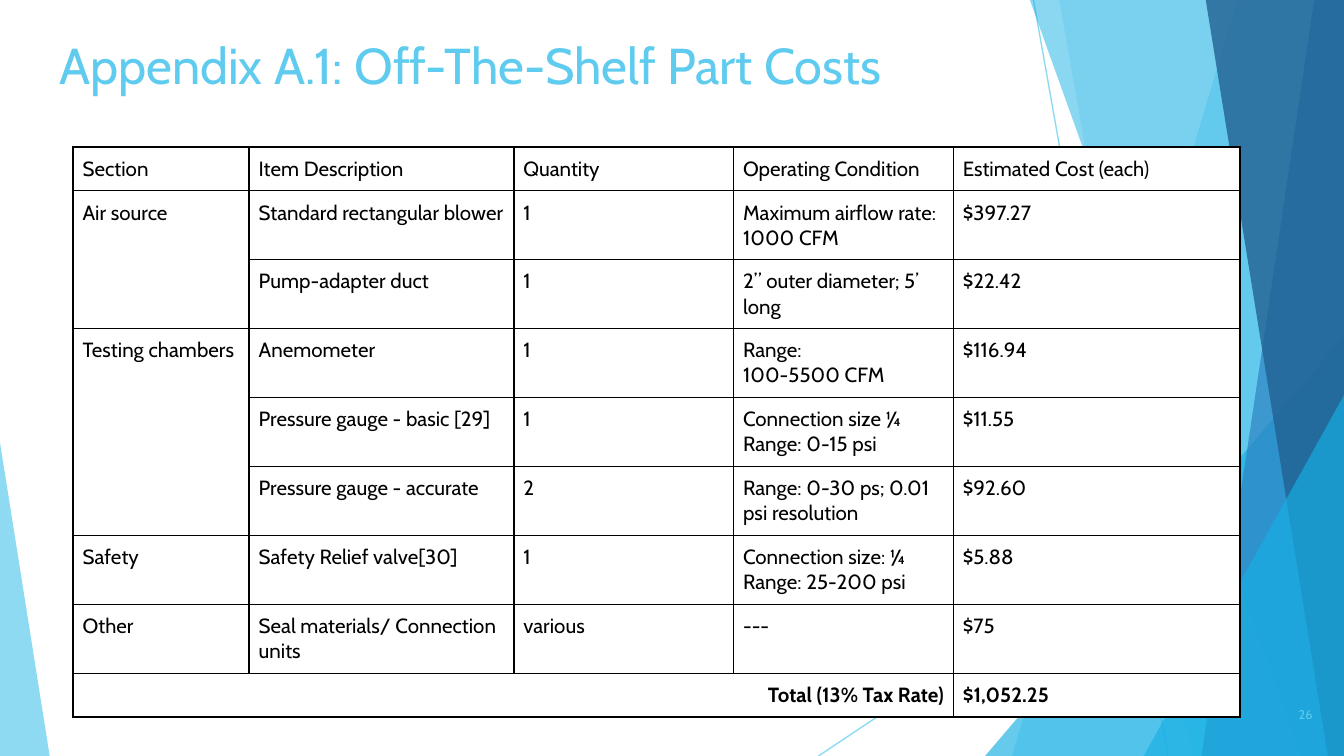
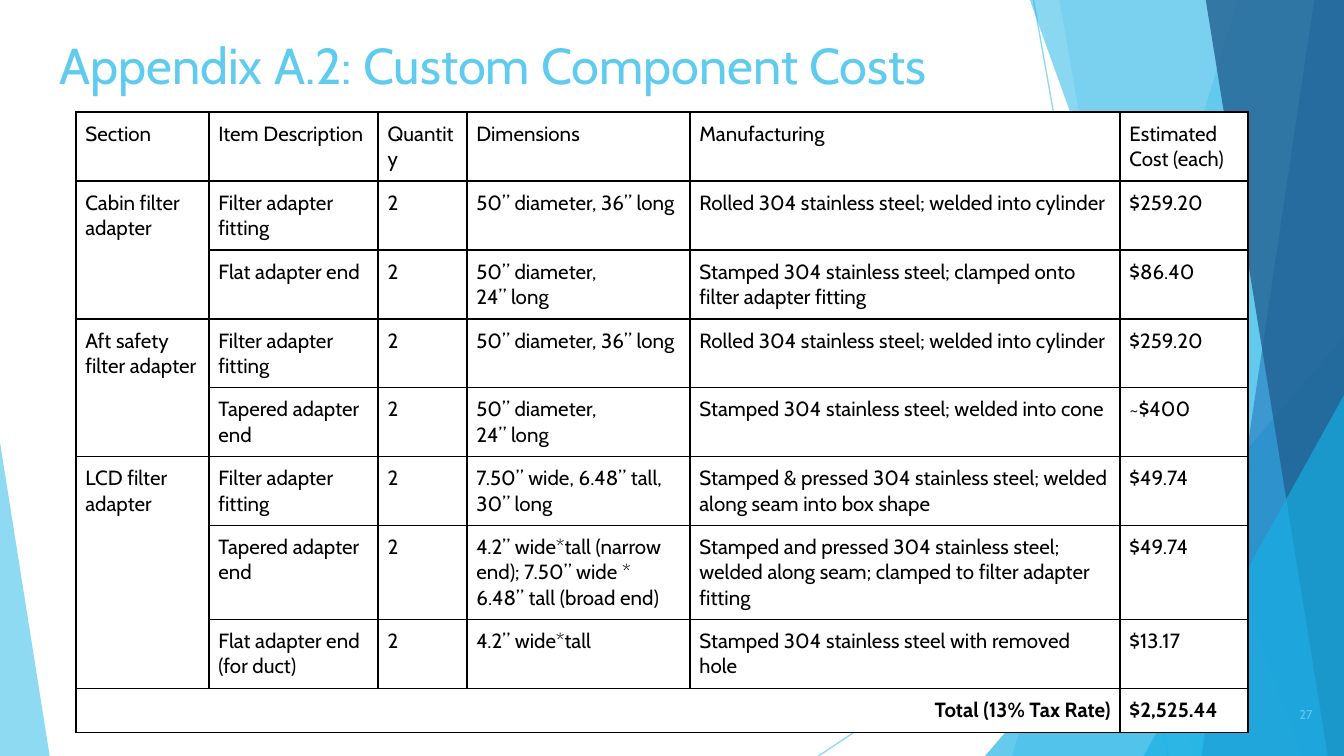
from dataclasses import dataclass
from itertools import product

from lxml.etree import SubElement
from pptx import Presentation
from pptx.dml.color import RGBColor
from pptx.enum.shapes import MSO_CONNECTOR, MSO_SHAPE
from pptx.enum.text import MSO_ANCHOR, MSO_AUTO_SIZE, PP_ALIGN
from pptx.oxml.ns import qn
from pptx.util import Inches, Pt


@dataclass(frozen=True)
class Theme:
    """Colours and type sizes of the deck."""
    font: str = "Cabin"
    sky: str = "5FCBEF"
    cyan: str = "17B0E4"
    blue: str = "2E83C3"
    navy: str = "226292"
    ink: str = "000000"
    paper: str = "FFFFFF"
    title_size: float = 27
    body_size: float = 11
    number_size: float = 6.8
    rule_width: float = 1
    hairline_width: float = 0.75


@dataclass(frozen=True)
class Hairline:
    """A thin line between two grid points."""
    start: tuple[float, float]
    end: tuple[float, float]


@dataclass(frozen=True)
class Band:
    """A full-height band from a slanted left edge to the right page edge."""
    top: float
    bottom: float
    color: str
    opacity: int


@dataclass(frozen=True)
class Wedge:
    """A right triangle standing on the page's bottom edge."""
    left: float
    top: float
    width: float
    apex: int
    color: str
    opacity: int


@dataclass(frozen=True)
class CostPage:
    """A numbered slide with one cost table; an empty section continues the one above."""
    title: str
    number: int
    left: float
    top: float
    columns: tuple[float, ...]
    line_counts: tuple[int, ...]
    header: tuple[str, ...]
    items: tuple[tuple[str, ...], ...]
    total: str


THEME = Theme()
COLUMNS = 1000
ROWS = COLUMNS * 9 / 16
CELL = Inches(0.01)
BOX_INSET, CELL_INSET, TEXT_LINE = 10, 7, 18.5
TOTAL_LABEL = "Total (13% Tax Rate)"

BACKDROP = (
    Hairline((769, 0), (869, ROWS)),
    Hairline((COLUMNS, 302), (609, ROWS)),
    Band(921, 753, THEME.sky, 36),
    Band(788, 887, THEME.sky, 20),
    Wedge(733, 250, 267, 1, THEME.cyan, 66),
    Band(766, 968, THEME.cyan, 50),
    Band(978, 894, THEME.blue, 70),
    Band(897, 988, THEME.navy, 80),
    Wedge(851, 294, 149, 1, THEME.cyan, 66),
    Wedge(0, 329, 37, 0, THEME.sky, 70),
)

ROLLED = "Rolled 304 stainless steel; welded into cylinder"
FITTING = "Filter adapter fitting"
TAPERED = "Tapered adapter end"
LONG_SIZE = "50” diameter, 36” long"
SHORT_SIZE = "50” diameter,\n24” long"

PAGES = (
    CostPage(
        "Appendix A.1: Off-The-Shelf Part Costs", 26, 54.5, 109.25,
        (131, 197, 163.5, 163.5, 213.5),
        (1, 2, 2, 2, 2, 2, 2, 2, 1),
        ("Section", "Item Description", "Quantity", "Operating Condition", "Estimated Cost (each)"),
        (
            ("Air source", "Standard rectangular blower", "1", "Maximum airflow rate:\n1000 CFM", "$397.27"),
            ("", "Pump-adapter duct", "1", "2” outer diameter; 5’ long", "$22.42"),
            ("Testing chambers", "Anemometer", "1", "Range:\n100-5500 CFM", "$116.94"),
            ("", "Pressure gauge - basic [29]", "1", "Connection size ¼\nRange: 0-15 psi", "$11.55"),
            ("", "Pressure gauge - accurate", "2", "Range: 0-30 ps; 0.01 psi resolution", "$92.60"),
            ("Safety", "Safety Relief valve[30]", "1", "Connection size: ¼\nRange: 25-200 psi", "$5.88"),
            ("Other", "Seal materials/ Connection units", "various", "---", "$75"),
        ),
        "$1,052.25",
    ),
    CostPage(
        "Appendix A.2: Custom Component Costs", 27, 56.5, 83.25,
        (99, 126, 66, 166, 320, 95),
        (2, 2, 2, 2, 2, 2, 3, 2, 1),
        ("Section", "Item Description", "Quantity", "Dimensions", "Manufacturing", "Estimated Cost (each)"),
        (
            ("Cabin filter adapter", FITTING, "2", LONG_SIZE, ROLLED, "$259.20"),
            ("", "Flat adapter end", "2", SHORT_SIZE,
             "Stamped 304 stainless steel; clamped onto filter adapter fitting", "$86.40"),
            ("Aft safety filter adapter", FITTING, "2", LONG_SIZE, ROLLED, "$259.20"),
            ("", TAPERED, "2", SHORT_SIZE, "Stamped 304 stainless steel; welded into cone", "~$400"),
            ("LCD filter adapter", FITTING, "2", "7.50” wide, 6.48” tall, 30” long",
             "Stamped & pressed 304 stainless steel; welded along seam into box shape", "$49.74"),
            ("", TAPERED, "2", "4.2” wide*tall (narrow end); 7.50” wide * 6.48” tall (broad end)",
             "Stamped and pressed 304 stainless steel; welded along seam; clamped to filter adapter fitting",
             "$49.74"),
            ("", "Flat adapter end (for duct)", "2", "4.2” wide*tall",
             "Stamped 304 stainless steel with removed hole", "$13.17"),
        ),
        "$2,525.44",
    ),
)


def grid(*counts: float) -> list[int]:
    """Turn grid counts into lengths."""
    return [round(count * CELL) for count in counts]


def set_opacity(shape, percent: int) -> None:
    """Make every plain colour of a shape partly transparent."""
    for color in list(shape._element.iter(qn("a:srgbClr"))):
        SubElement(color, qn("a:alpha"), val=str(percent * 1000))


def paint(shape, color: str, opacity: int) -> None:
    """Fill a shape without outline or shadow."""
    shape.shadow.inherit = False
    shape.fill.solid()
    shape.fill.fore_color.rgb = RGBColor.from_string(color)
    shape.line.fill.background()
    set_opacity(shape, opacity)


def draw_hairline(page, hairline: Hairline) -> None:
    """Draw one thin translucent line."""
    line = page.shapes.add_connector(MSO_CONNECTOR.STRAIGHT, *grid(*hairline.start, *hairline.end))
    line.line.color.rgb = RGBColor.from_string(THEME.sky)
    line.line.width = Pt(THEME.hairline_width)
    SubElement(line._element.spPr, qn("a:effectLst"))
    set_opacity(line, 70)


def draw_band(page, band: Band) -> None:
    """Draw one slanted band."""
    outline = page.shapes.build_freeform(*grid(band.top, -1))
    corners = ((COLUMNS, -1), (COLUMNS, ROWS), (band.bottom, ROWS))
    outline.add_line_segments([grid(*corner) for corner in corners], close=True)
    paint(outline.convert_to_shape(), band.color, band.opacity)


def draw_wedge(page, wedge: Wedge) -> None:
    """Draw one right triangle."""
    place = grid(wedge.left, wedge.top, wedge.width, ROWS - wedge.top)
    triangle = page.shapes.add_shape(MSO_SHAPE.ISOSCELES_TRIANGLE, *place)
    triangle.adjustments[0] = wedge.apex
    paint(triangle, wedge.color, wedge.opacity)


DRAWERS = {Hairline: draw_hairline, Band: draw_band, Wedge: draw_wedge}


def set_insets(holder, inset: float) -> None:
    """Give a frame or cell the same margin on all sides."""
    for side in ("left", "top", "right", "bottom"):
        setattr(holder, f"margin_{side}", grid(inset)[0])


def style_text(frame, size: float, color: str, align=PP_ALIGN.LEFT, bold: bool = False) -> None:
    """Format all the text of a frame."""
    for para in frame.paragraphs:
        para.alignment = align
        for span in para.runs:
            span.font.name = THEME.font
            span.font.size = Pt(size)
            span.font.bold = bold
            span.font.color.rgb = RGBColor.from_string(color)


def fill_box(box, text: str, size: float, anchor, align) -> None:
    """Write one accent-coloured text into a box."""
    frame = box.text_frame
    frame.text = text
    frame.word_wrap = True
    frame.auto_size = MSO_AUTO_SIZE.NONE
    frame.vertical_anchor = anchor
    set_insets(frame, BOX_INSET)
    style_text(frame, size, THEME.sky, align)


def draw_title(page, text: str) -> None:
    """Place the title above the backdrop."""
    title = page.shapes.title
    title.left, title.top, title.width, title.height = grid(34, 15.5, 932, 63)
    fill_box(title, text, THEME.title_size, MSO_ANCHOR.TOP, PP_ALIGN.LEFT)
    page.shapes._spTree.append(title._element)


def draw_number(page, number: int) -> None:
    """Place the page number at the lower right."""
    box = page.shapes.add_textbox(*grid(926.5, 510, 60, 43))
    fill_box(box, str(number), THEME.number_size, MSO_ANCHOR.MIDDLE, PP_ALIGN.RIGHT)


def style_cell(cell) -> None:
    """Rule a cell on all sides and fill it."""
    properties = cell._tc.get_or_add_tcPr()
    for side in "LRTB":
        border = SubElement(properties, qn(f"a:ln{side}"), w=str(Pt(THEME.rule_width)))
        SubElement(SubElement(border, qn("a:solidFill")), qn("a:srgbClr"), val=THEME.ink)
    cell.fill.solid()
    cell.fill.fore_color.rgb = RGBColor.from_string(THEME.paper)
    set_insets(cell, CELL_INSET)


def draw_table(page, content: CostPage) -> None:
    """Draw the cost table with its merged sections and total."""
    width = len(content.columns)
    total_row = (TOTAL_LABEL, *[""] * (width - 2), content.total)
    rows = (content.header, *content.items, total_row)
    last = len(rows) - 1
    heights = [2 * CELL_INSET + TEXT_LINE * count for count in content.line_counts]
    place = grid(content.left, content.top, sum(content.columns), sum(heights))
    table = page.shapes.add_table(len(rows), width, *place).table
    table.first_row = table.horz_banding = False
    for column, size in zip(table.columns, grid(*content.columns)):
        column.width = size
    for row, size in zip(table.rows, grid(*heights)):
        row.height = size

    for row, column in product(range(len(rows)), range(width)):
        cell = table.cell(row, column)
        style_cell(cell)
        cell.text_frame.text = rows[row][column]
        is_label = row == last and column == 0
        align = PP_ALIGN.RIGHT if is_label else PP_ALIGN.LEFT
        style_text(cell.text_frame, THEME.body_size, THEME.ink, align, bold=row == last)

    starts = [index for index, row in enumerate(rows) if row[0]]
    for start, following in zip(starts, starts[1:]):
        if following - start > 1:
            table.cell(start, 0).merge(table.cell(following - 1, 0))
    table.cell(last, 0).merge(table.cell(last, width - 2))


def draw_page(deck, content: CostPage) -> None:
    """Add one cost slide to the deck."""
    page = deck.slides.add_slide(deck.slide_layouts[5])
    for part in BACKDROP:
        DRAWERS[type(part)](page, part)
    draw_title(page, content.title)
    draw_number(page, content.number)
    draw_table(page, content)


def main() -> None:
    """Build and save the deck."""
    deck = Presentation()
    deck.slide_width, deck.slide_height = grid(COLUMNS, ROWS)
    for content in PAGES:
        draw_page(deck, content)
    deck.save("out.pptx")


if __name__ == "__main__":
    main()
